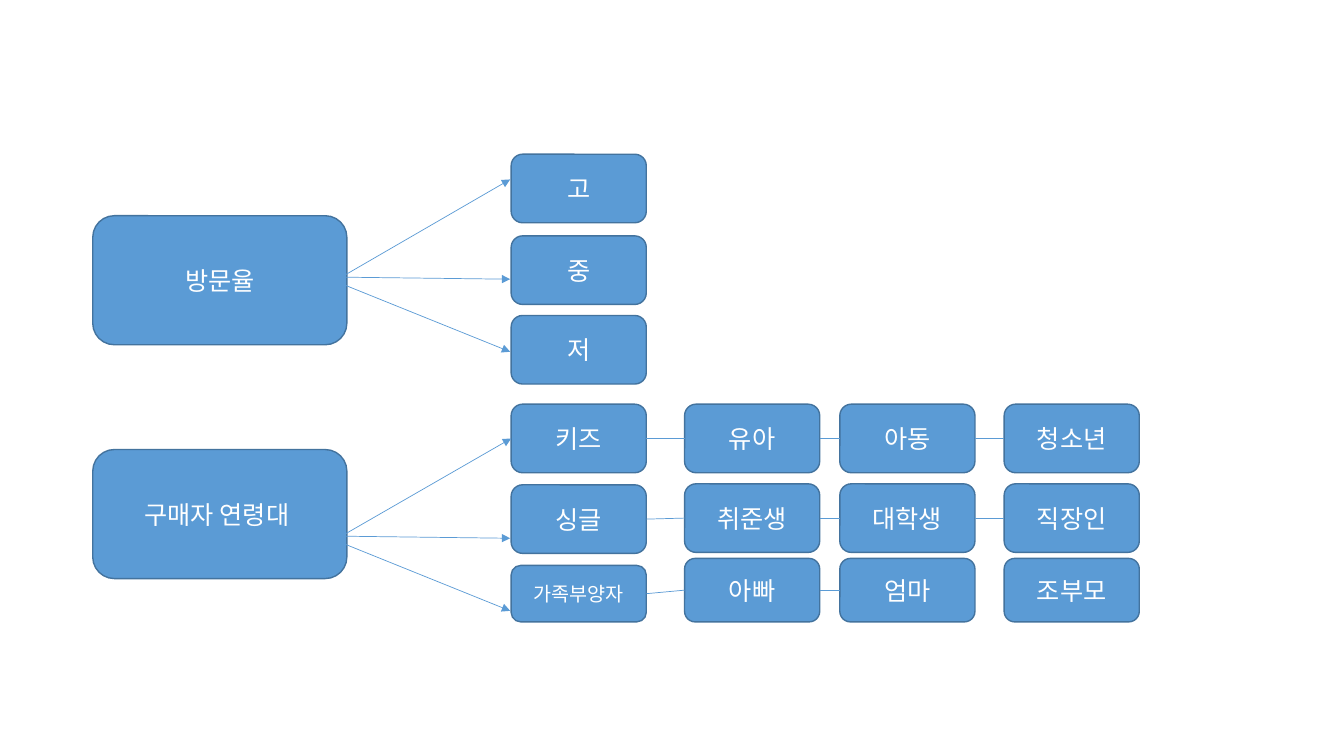
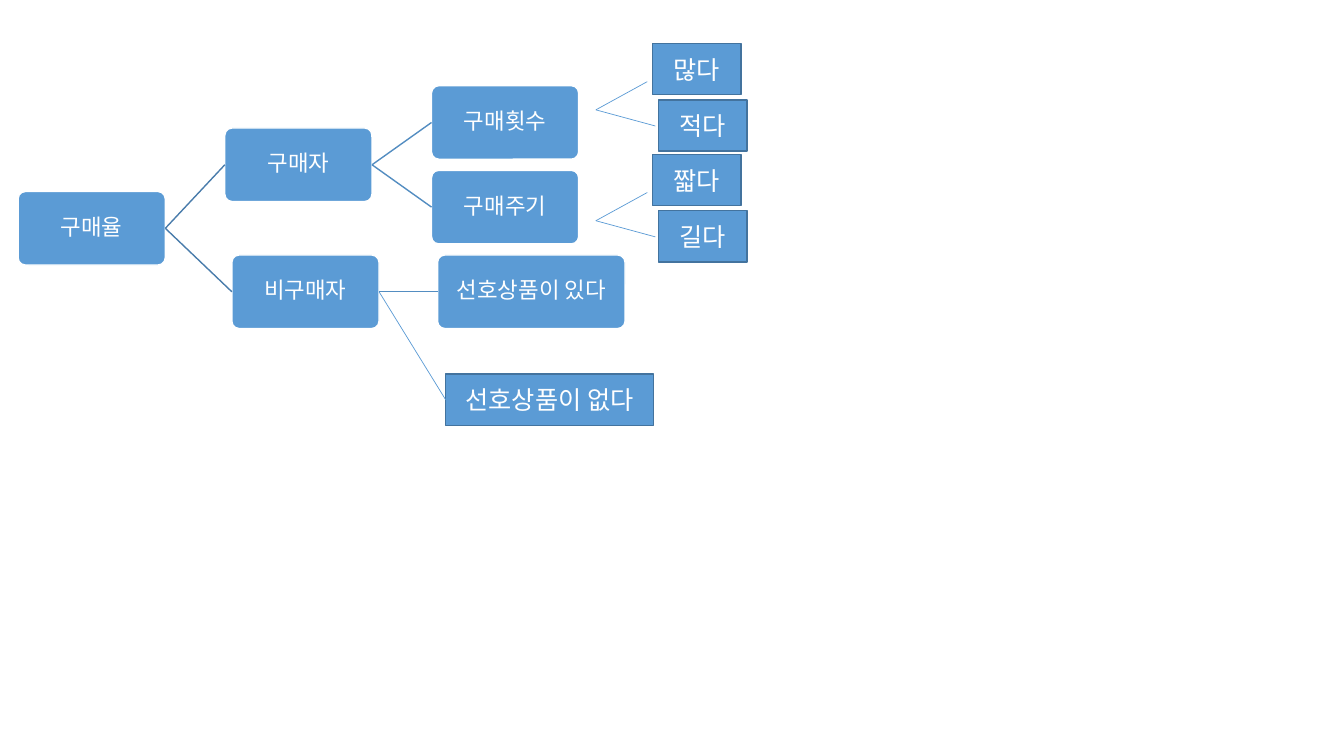
from dataclasses import dataclass
from itertools import pairwise

from lxml import etree
from pptx import Presentation
from pptx import util as u
from pptx.dml import color
from pptx.enum import shapes, text
from pptx.oxml import ns

PX = 9144
LEFT, RIGHT = 1, 3
BOX, ROUND = shapes.MSO_SHAPE.RECTANGLE, shapes.MSO_SHAPE.ROUNDED_RECTANGLE


@dataclass(frozen=True)
class Theme:
    font: str = "Noto Sans CJK KR"
    fill: str = "5B9BD5"
    edge: str = "43739E"
    white: str = "FFFFFF"
    trunk: str = "497CAB"
    branch: str = "538DC1"
    large: int = 18
    mid: int = 16
    small: int = 14
    thin: float = 0.5
    thick: float = 1


T = Theme()


def px(*vals):
    return [u.Emu(round(v * PX)) for v in vals]


def rgb(code):
    return color.RGBColor.from_string(code)


def style(line, code, width):
    line.color.rgb = rgb(code)
    line.width = u.Pt(width)


def card(slide, label, at, kind=ROUND, size=T.large, edge=T.edge):
    shape = slide.shapes.add_shape(kind, *px(*at))
    shape.shadow.inherit = False
    shape.fill.solid()
    shape.fill.fore_color.rgb = rgb(T.fill)
    style(shape.line, edge, T.thick)
    frame = shape.text_frame
    frame.text = label
    frame.word_wrap = True
    frame.vertical_anchor = text.MSO_ANCHOR.MIDDLE
    para = frame.paragraphs[0]
    para.alignment = text.PP_ALIGN.CENTER
    run = para.runs[0]
    run.font.name = T.font
    run.font.size = u.Pt(size)
    run.font.color.rgb = rgb(T.white)
    east = etree.SubElement(run.font._element, ns.qn("a:ea"))
    east.set("typeface", T.font)
    return shape


def node(slide, label, left, top, width=146):
    """Add a tree card with a white edge and tight text."""
    shape = card(slide, label, (left, top, width, 73), size=T.mid, edge=T.white)
    shape.adjustments[0] = 0.1
    frame = shape.text_frame
    frame.margin_left = frame.margin_right = px(3)[0]
    frame.margin_top = frame.margin_bottom = px(3)[0]
    frame.paragraphs[0].line_spacing = 0.9
    return shape


def spot(end, side):
    """Give the point of an end, which is a shape or an (x, y) pair."""
    if isinstance(end, tuple):
        return px(*end)
    x = end.left + (end.width if side == RIGHT else 0)
    return [x, end.top + end.height // 2]


def wire(slide, start, end, code=T.fill, width=T.thin, arrow=False):
    """Draw a line between points or shapes, joined to each shape's side."""
    line = slide.shapes.add_connector(
        shapes.MSO_CONNECTOR.STRAIGHT, *spot(start, RIGHT), *spot(end, LEFT))
    if not isinstance(start, tuple):
        line.begin_connect(start, RIGHT)
    if not isinstance(end, tuple):
        line.end_connect(end, LEFT)
    style(line.line, code, width)
    if arrow:
        tip = etree.SubElement(line.line._get_or_add_ln(), ns.qn("a:tailEnd"))
        tip.set("type", "triangle")
    etree.SubElement(line._element.spPr, ns.qn("a:effectLst"))


def fan(slide, drop, ends):
    """Draw three arrows out of a main card, moved down by drop."""
    for (x, y), end in zip([(335, 277), (343, 275), (335, 280)], ends):
        wire(slide, (x, y + drop), end, arrow=True)


def groups(slide):
    lefts, width = (507, 679, 833, 996), 134
    for label, top in (("방문율", 214), ("구매자 연령대 ", 446)):
        card(slide, label, (92, top, 252, 128))
    for label, top in (("고", 153), ("중", 234), ("저", 313)):
        card(slide, label, (lefts[0], top, width, 68))

    rows = (
        ("키즈", 401, 68, T.large, ("유아", "아동", "청소년"), 401, 68, 3),
        ("싱글", 481, 68, T.large, ("취준생", "대학생", "직장인"), 480, 68, 3),
        ("가족부양자", 561, 56, T.small, ("아빠", "엄마", "조부모"), 554, 63, 2),
    )
    heads = []
    for name, top, high, size, kin, level, tall, links in rows:
        line = [card(slide, name, (lefts[0], top, width, high), size=size)]
        line += [card(slide, label, (left, level, width, tall))
                 for label, left in zip(kin, lefts[1:])]
        for pair in list(pairwise(line))[:links]:
            wire(slide, *pair)
        heads.append(line[0])

    fan(slide, 0, [(506, 178), (506, 277), (506, 349)])
    fan(slide, 257, [heads[0], (506, 534), (506, 606)])


def tree(slide):
    root = node(slide, "구매율", 18, 190)
    buyer = node(slide, "구매자", 223, 127)
    other = node(slide, "비구매자", 230, 253)
    count = node(slide, "구매횟수", 428, 85)
    cycle = node(slide, "구매주기", 428, 169)
    liked = node(slide, "선호상품이 있다", 434, 253, 186)
    for start, end, code in (
        (root, buyer, T.trunk), (root, other, T.trunk),
        (buyer, count, T.branch), (buyer, cycle, T.branch),
        (other, liked, T.branch),
    ):
        wire(slide, start, end, code, T.thick)

    for top, first, second in ((43, "많다", "적다"), (153, "짧다", "길다")):
        card(slide, first, (647, top, 88, 51), BOX)
        card(slide, second, (653, top + 56, 88, 51), BOX)
        for end in ((642, top + 38), (650, top + 82)):
            wire(slide, (591, top + 66), end)

    none = card(slide, "선호상품이 없다", (442, 371, 206, 51), BOX)
    wire(slide, other, none)


def main():
    deck = Presentation()
    deck.slide_width, deck.slide_height = px(1333, 750)
    for draw in (groups, tree):
        draw(deck.slides.add_slide(deck.slide_layouts[6]))
    deck.save("out.pptx")


if __name__ == "__main__":
    main()
